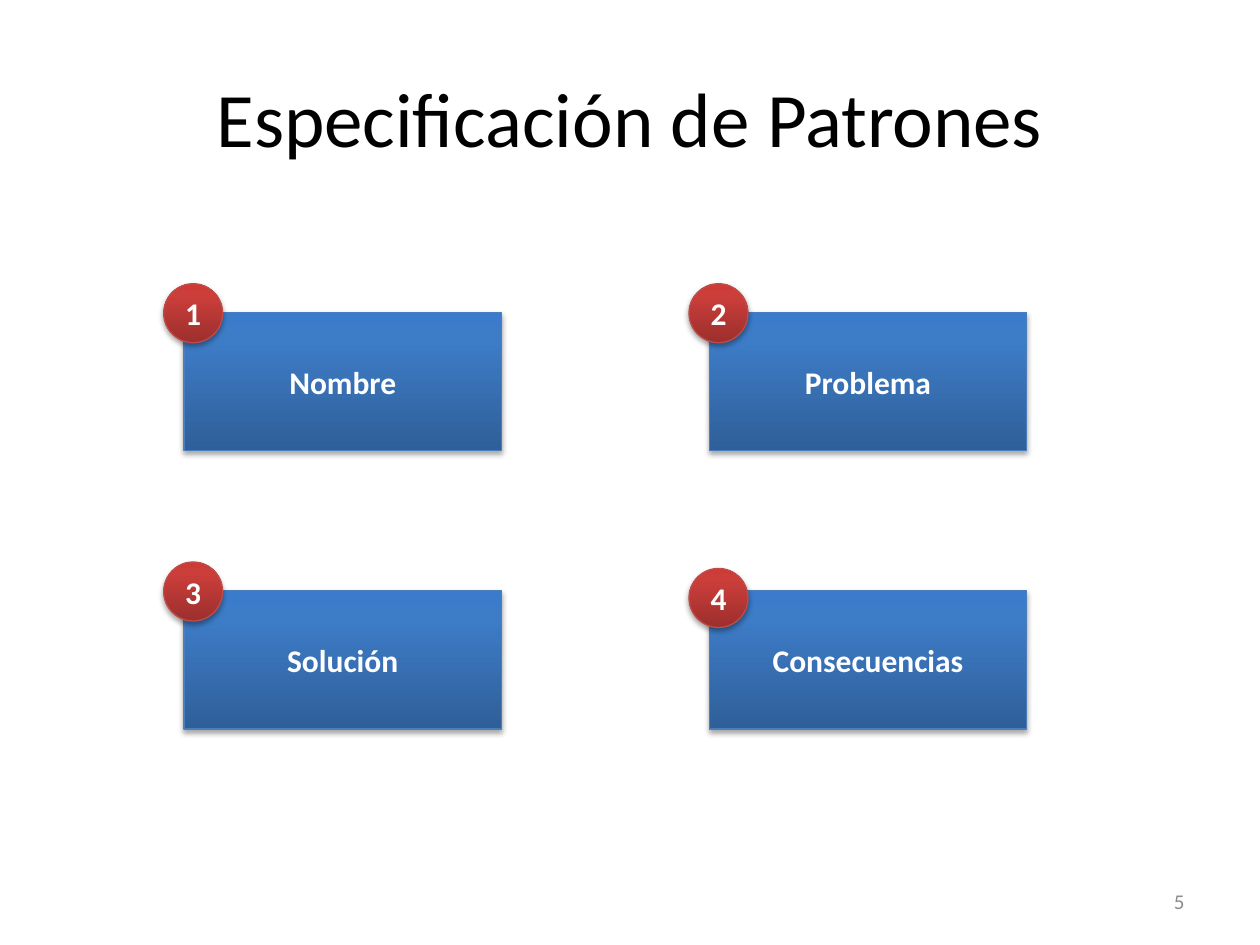
from copy import deepcopy

from lxml import etree
from pptx import Presentation
from pptx import util as u
from pptx.dml.color import RGBColor
from pptx.enum import shapes, text
from pptx.oxml.ns import qn

BLACK = RGBColor(0x00, 0x00, 0x00)
WHITE = RGBColor(0xFF, 0xFF, 0xFF)
GREY = RGBColor(0x8C, 0x8C, 0x8C)
BLUE_LINE = RGBColor(0x4B, 0x7E, 0xBC)
RED_LINE = RGBColor(0xBF, 0x4C, 0x48)
# Gradient colours from bottom to top
BLUES = [RGBColor(0x2F, 0x5F, 0x99), RGBColor(0x3D, 0x7C, 0xC7), RGBColor(0x3A, 0x7C, 0xCB)]
REDS = [RGBColor(0x9C, 0x2F, 0x2D), RGBColor(0xCB, 0x3E, 0x3A), RGBColor(0xCE, 0x3B, 0x37)]
STOPS = [0, 0.8, 1]

BOX_LEFT, BOX_TOP, BOX_WIDTH, BOX_HEIGHT = 3.71, 6.3, 6.4, 2.79
COLUMN_STEP, ROW_STEP = 10.59, 5.61
BADGE_SIZE = 1.19
BADGE_DX, BADGE_DY = -0.41, -0.58

LABELS = ["Nombre", "Problema", "Solución", "Consecuencias"]
BADGE_DROP = {4: 0.13}  # the fourth badge sits slightly lower


def write(paragraph, words, size, color, align, bold=False):
    paragraph.alignment = align
    run = paragraph.add_run()
    run.text = words
    run.font.name = "Calibri"
    run.font.size = u.Pt(size)
    run.font.bold = bold
    run.font.color.rgb = color


def add_glossy_shape(kind, left, top, width, height, colors, line_color, words):
    """Add a shape with a vertical gradient, a soft shadow and a bold label."""
    shape = slide.shapes.add_shape(kind, u.Cm(left), u.Cm(top), u.Cm(width), u.Cm(height))
    shape.fill.gradient()
    shape.fill.gradient_angle = 90
    properties = shape._element.spPr
    stop_list = properties.find(qn("a:gradFill")).find(qn("a:gsLst"))
    stop_list.append(deepcopy(stop_list[-1]))
    for stop, position, color in zip(shape.fill.gradient_stops, STOPS, colors):
        stop.position = position
        stop.color.rgb = color
    shape.line.color.rgb = line_color
    shape.line.width = u.Pt(0.75)

    shape.shadow.inherit = False
    shadow = etree.SubElement(
        properties.find(qn("a:effectLst")), qn("a:outerShdw"),
        blurRad=str(u.Pt(3.1)), dist=str(u.Pt(1.8)), dir="5400000", rotWithShape="0")
    shadow_color = etree.SubElement(shadow, qn("a:srgbClr"), val=str(BLACK))
    etree.SubElement(shadow_color, qn("a:alpha"), val="35000")

    frame = shape.text_frame
    frame.vertical_anchor = text.MSO_ANCHOR.MIDDLE
    frame.word_wrap = True
    write(frame.paragraphs[0], words, 18, WHITE, text.PP_ALIGN.CENTER, bold=True)


presentation = Presentation()
presentation.slide_width = u.Cm(25.4)
presentation.slide_height = u.Cm(19.05)
slide = presentation.slides.add_slide(presentation.slide_layouts[5])

title = slide.shapes.title
title.left, title.top, title.width, title.height = u.Cm(1.27), u.Cm(0.76), u.Cm(22.86), u.Cm(3.18)
title.text_frame.vertical_anchor = text.MSO_ANCHOR.MIDDLE
write(title.text_frame.paragraphs[0], "Especificación de Patrones", 44, BLACK, text.PP_ALIGN.CENTER)

page_number = slide.shapes.add_textbox(u.Cm(18.2), u.Cm(17.66), u.Cm(5.93), u.Cm(1.01))
page_number.text_frame.word_wrap = True
page_number.text_frame.vertical_anchor = text.MSO_ANCHOR.MIDDLE
write(page_number.text_frame.paragraphs[0], "5", 12, GREY, text.PP_ALIGN.RIGHT)

corners = [(BOX_LEFT + column * COLUMN_STEP, BOX_TOP + row * ROW_STEP)
           for row in range(2) for column in range(2)]

for label, (left, top) in zip(LABELS, corners):
    add_glossy_shape(shapes.MSO_SHAPE.RECTANGLE, left, top, BOX_WIDTH, BOX_HEIGHT,
                     BLUES, BLUE_LINE, label)

for number, (left, top) in enumerate(corners, start=1):
    badge_top = top + BADGE_DY + BADGE_DROP.get(number, 0)
    add_glossy_shape(shapes.MSO_SHAPE.OVAL, left + BADGE_DX, badge_top, BADGE_SIZE, BADGE_SIZE,
                     REDS, RED_LINE, str(number))

presentation.save("out.pptx")
